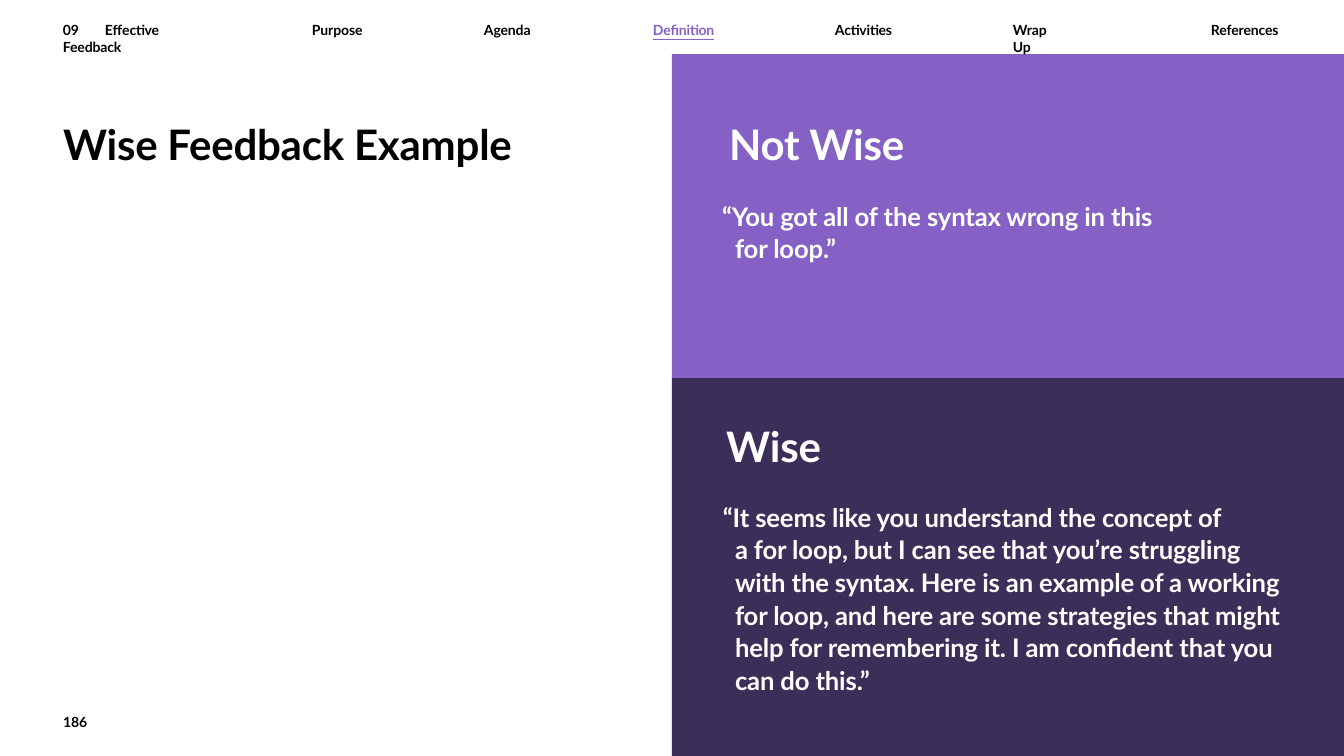
"""Build the wise feedback example slide."""
from dataclasses import dataclass
from typing import Optional

from lxml import etree
from pptx import Presentation, util as u
from pptx.dml.color import RGBColor
from pptx.enum import shapes, text as t
from pptx.oxml import ns


@dataclass(frozen=True)
class Theme:
    font: str = "Lato"
    black: str = "000000"
    white: str = "FFFFFF"
    purple: str = "8661C5"
    dark: str = "3B2E58"
    heading: int = 36
    quote: int = 22
    small: int = 12


@dataclass(frozen=True)
class Box:
    left: int
    top: int
    width: int
    height: int


@dataclass(frozen=True)
class NavItem:
    text: str
    left: int
    width: int
    active: bool = False
    tab: Optional[int] = None


@dataclass(frozen=True)
class Quote:
    text: str
    left: int
    first: int = 0
    before: float = 0
    spacing: float = 1


@dataclass(frozen=True)
class Panel:
    area: Box
    body: Box
    color: str
    heading: str
    indent: int
    quotes: tuple[Quote, ...]


THEME = Theme()
TITLE = Box(62, 118, 453, 53)
NUMBER = Box(60, 711, 31, 17)
NAV_TOP, NAV_HEIGHT = 21, 19
NAV = (
    NavItem("09\tEffective\vFeedback", 62, 159, tab=30),
    NavItem("Purpose", 311, 54),
    NavItem("Agenda", 483, 51),
    NavItem("Definition", 652, 65, active=True),
    NavItem("Activities", 834, 60),
    NavItem("Wrap\vUp", 1012, 68),
    NavItem("References", 1210, 72),
)
PANELS = (
    Panel(Box(672, 54, 672, 324), Box(722, 118, 454, 148), THEME.purple, "Not Wise", 7, (
        Quote("“You got all of the syntax wrong in this for loop.”", 13, -13, 25.1, 1.06),
    )),
    Panel(Box(672, 378, 672, 378), Box(722, 419, 559, 278), THEME.dark, "Wise", 4, (
        Quote("“It seems like you understand the concept of", 1, before=26.8),
        Quote("a for loop, but I can see that you’re struggling with the syntax. "
              "Here is an example of a working for loop, and here are some strategies "
              "that might help for remembering it. I am confident that you can do this.”",
              13, spacing=1.06),
    )),
)


def px(n: int) -> int:
    """Turn px into EMU."""
    return round(n * u.Inches(1) / 84)


def place(sp, box: Box) -> None:
    """Move and size a shape."""
    sp.left, sp.top = px(box.left), px(box.top)
    sp.width, sp.height = px(box.width), px(box.height)


def frame(sp, inset: int = 1):
    """Prepare and return the text frame of a shape."""
    tf = sp.text_frame
    tf.word_wrap = True
    tf.auto_size = t.MSO_AUTO_SIZE.NONE
    tf.vertical_anchor = t.MSO_ANCHOR.TOP
    tf.margin_left = tf.margin_right = tf.margin_bottom = 0
    tf.margin_top = px(inset)
    return tf


def write(p, text: str, *, size: int, color: str = THEME.black, left: int = 1,
          first: int = 0, before: float = 0, spacing: float = 1, track: int = -10,
          underline: bool = False, tab: Optional[int] = None) -> None:
    """Fill a paragraph with formatted text."""
    p.text = text
    p.alignment = t.PP_ALIGN.LEFT
    p.space_before, p.space_after = u.Pt(before), u.Pt(0)
    p.line_spacing = spacing
    pPr = p._p.get_or_add_pPr()
    pPr.set("marL", str(px(left)))
    pPr.set("indent", str(px(first)))
    etree.SubElement(pPr, ns.qn("a:buNone"))
    if tab is not None:
        tabs = etree.SubElement(pPr, ns.qn("a:tabLst"))
        etree.SubElement(tabs, ns.qn("a:tab"), pos=str(px(tab)), algn="l")
    for r in p.runs:
        r.font.name = THEME.font
        r.font.size = u.Pt(size)
        r.font.bold = True
        r.font.underline = underline
        r.font.color.rgb = RGBColor.from_string(color)
        r._r.get_or_add_rPr().set("spc", str(track))


def add_label(s, box: Box, inset: int = 1):
    """Add a text box and return its first paragraph."""
    sp = s.shapes.add_textbox(0, 0, 0, 0)
    place(sp, box)
    return frame(sp, inset).paragraphs[0]


def add_panel(s, body, panel: Panel) -> None:
    """Add a coloured panel behind a filled body placeholder."""
    sp = s.shapes.add_shape(shapes.MSO_SHAPE.RECTANGLE, 0, 0, 0, 0)
    place(sp, panel.area)
    sp.shadow.inherit = False
    sp.fill.solid()
    sp.fill.fore_color.rgb = RGBColor.from_string(panel.color)
    sp.line.fill.background()
    s.shapes._spTree.insert(2, sp._element)
    place(body, panel.body)
    tf = frame(body)
    write(tf.paragraphs[0], panel.heading, size=THEME.heading, color=THEME.white,
          left=panel.indent, track=-15)
    for q in panel.quotes:
        write(tf.add_paragraph(), q.text, size=THEME.quote, color=THEME.white, left=q.left,
              first=q.first, before=q.before, spacing=q.spacing)


def main() -> None:
    """Build and save the slide."""
    prs = Presentation()
    prs.slide_width, prs.slide_height = px(1344), px(756)
    s = prs.slides.add_slide(prs.slide_layouts.get_by_name("Two Content"))
    title, *bodies = list(s.placeholders)
    place(title, TITLE)
    write(frame(title).paragraphs[0], "Wise Feedback Example", size=THEME.heading, track=-20)
    for body, panel in zip(bodies, PANELS):
        add_panel(s, body, panel)
    write(add_label(s, NUMBER, 3), "186", size=THEME.small, left=3, track=0)
    for item in NAV:
        p = add_label(s, Box(item.left, NAV_TOP, item.width, NAV_HEIGHT))
        write(p, item.text, size=THEME.small, underline=item.active, tab=item.tab,
              color=THEME.purple if item.active else THEME.black)
    prs.save("out.pptx")


if __name__ == "__main__":
    main()
